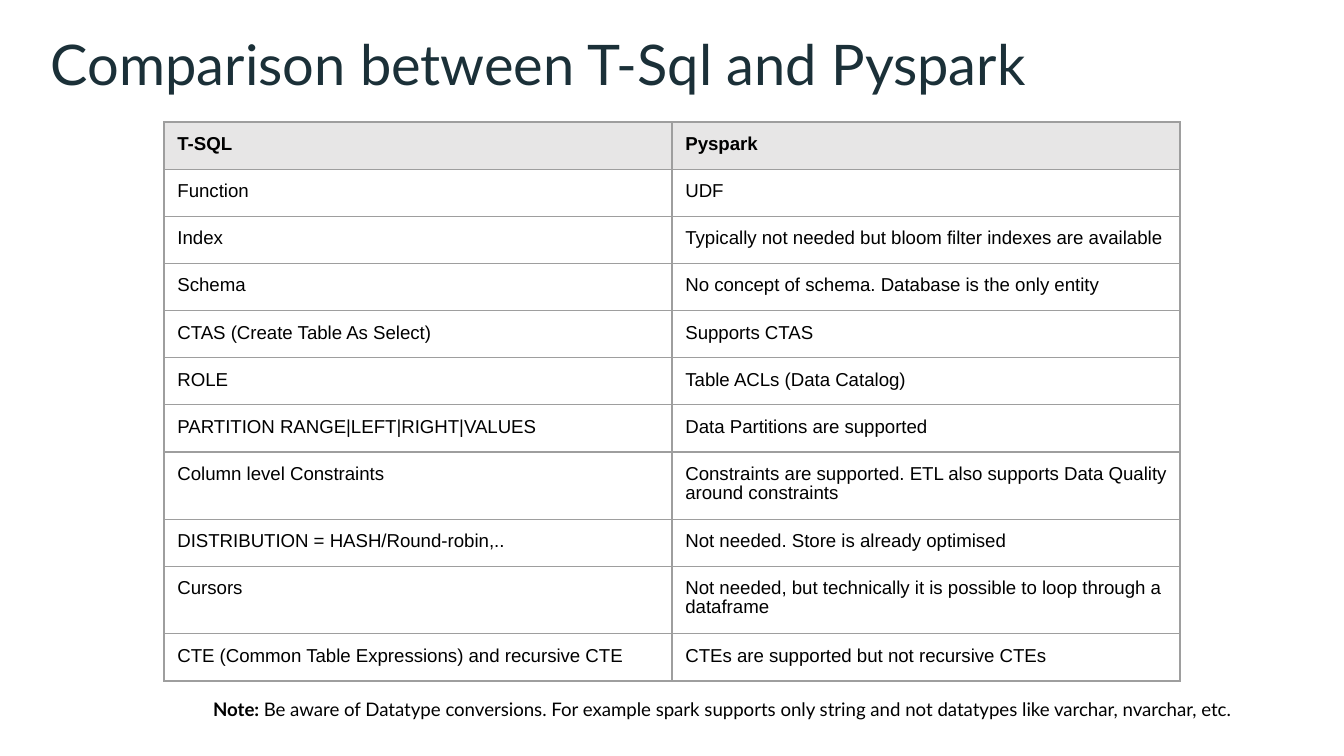
from lxml.etree import SubElement as sub
from pptx import Presentation
from pptx.dml.color import RGBColor as RGB
from pptx.enum.text import MSO_ANCHOR as Anchor, MSO_AUTO_SIZE as Auto
from pptx.oxml.ns import qn
from pptx.util import Pt

# Content
TITLE = "Comparison between T-Sql and Pyspark"
ROWS = [
    ("T-SQL", "Pyspark"),
    ("Function", "UDF"),
    ("Index", "Typically not needed but bloom filter indexes are available"),
    ("Schema", "No concept of schema. Database is the only entity"),
    ("CTAS (Create Table As Select)", "Supports CTAS"),
    ("ROLE", "Table ACLs (Data Catalog)"),
    ("PARTITION RANGE|LEFT|RIGHT|VALUES", "Data Partitions are supported"),
    ("Column level Constraints",
     "Constraints are supported. ETL also supports Data Quality around constraints"),
    ("DISTRIBUTION = HASH/Round-robin,..", "Not needed. Store is already optimised"),
    ("Cursors",
     "Not needed, but technically it is possible to loop through a dataframe"),
    ("CTE (Common Table Expressions) and recursive CTE",
     "CTEs are supported but not recursive CTEs"),
]
NOTE = [
    ("Note: ", True),
    ("Be aware of Datatype conversions. For example spark supports only string "
     "and not datatypes like varchar, nvarchar, etc.", False),
]


class Theme:
    title, ink = RGB(0x1B, 0x30, 0x38), RGB(0, 0, 0)
    head, rule = RGB(0xE7, 0xE6, 0xE6), RGB(0x9E, 0x9E, 0x9E)
    sans, table = "Lato", "Arial"
    big, small, edge = Pt(30), Pt(10), Pt(0.75)


# Layout in px
WIDE, HIGH = 1344, 756
INSET = 0.1           # cell inset in inches of 134.4 px
PAD = round(INSET * 134.4, 2)
LINE = 18             # least height of one line; rows grow to fit
FIT = 60              # characters that fit on one line of a cell


def px(n):
    return round(n * 914400 / 134.4)


def style(run, face, size, color, bold=False):
    font = run.font
    font.name, font.size, font.bold = face, size, bold
    font.color.rgb = color


def inset(box, side, ends):
    box.margin_left = box.margin_right = px(side)
    box.margin_top = box.margin_bottom = px(ends)


def text_box(slide, x, y, w, h, side, ends):
    frame = slide.shapes.add_textbox(px(x), px(y), px(w), px(h)).text_frame
    frame.word_wrap = True
    inset(frame, side, ends)
    return frame


def border(cell):
    props = cell._tc.get_or_add_tcPr()
    for side in ("lnL", "lnR", "lnT", "lnB"):
        line = sub(props, qn(f"a:{side}"), w=str(Theme.edge))
        fill = sub(line, qn("a:solidFill"))
        sub(fill, qn("a:srgbClr"), val=str(Theme.rule))


def fill_cell(cell, text, head):
    border(cell)
    inset(cell, PAD, PAD)
    cell.vertical_anchor = Anchor.TOP
    if head:
        cell.fill.solid()
        cell.fill.fore_color.rgb = Theme.head
    else:
        cell.fill.background()
    para = cell.text_frame.paragraphs[0]
    para.text = text
    para.line_spacing = 0.9
    style(para.runs[0], Theme.table, Theme.small, Theme.ink, head)


def main():
    deck = Presentation()
    deck.slide_width, deck.slide_height = px(WIDE), px(HIGH)
    slide = deck.slides.add_slide(deck.slide_layouts[6])

    # Title
    frame = text_box(slide, 51, 13, 1242, 109, 0, 5)
    frame.vertical_anchor = Anchor.MIDDLE
    para = frame.paragraphs[0]
    para.text = TITLE
    para.line_spacing = 0.9
    style(para.runs[0], Theme.sans, Theme.big, Theme.title)

    # Comparison table
    highs = [26 + LINE * (2 if len(max(row, key=len)) > FIT else 1)
             for row in ROWS]
    table = slide.shapes.add_table(len(ROWS), 2, px(164), px(122),
                                   px(1016), px(sum(highs))).table
    table.horz_banding = False
    for r, (row, high) in enumerate(zip(ROWS, highs)):
        table.rows[r].height = px(high)
        for c, text in enumerate(row):
            fill_cell(table.cell(r, c), text, r == 0)

    # Note
    frame = text_box(slide, 200, 687, 1101, 50, PAD, PAD)
    frame.auto_size = Auto.SHAPE_TO_FIT_TEXT
    for text, bold in NOTE:
        run = frame.paragraphs[0].add_run()
        run.text = text
        style(run, Theme.sans, Theme.small, Theme.ink, bold)

    deck.save("out.pptx")


if __name__ == "__main__":
    main()
